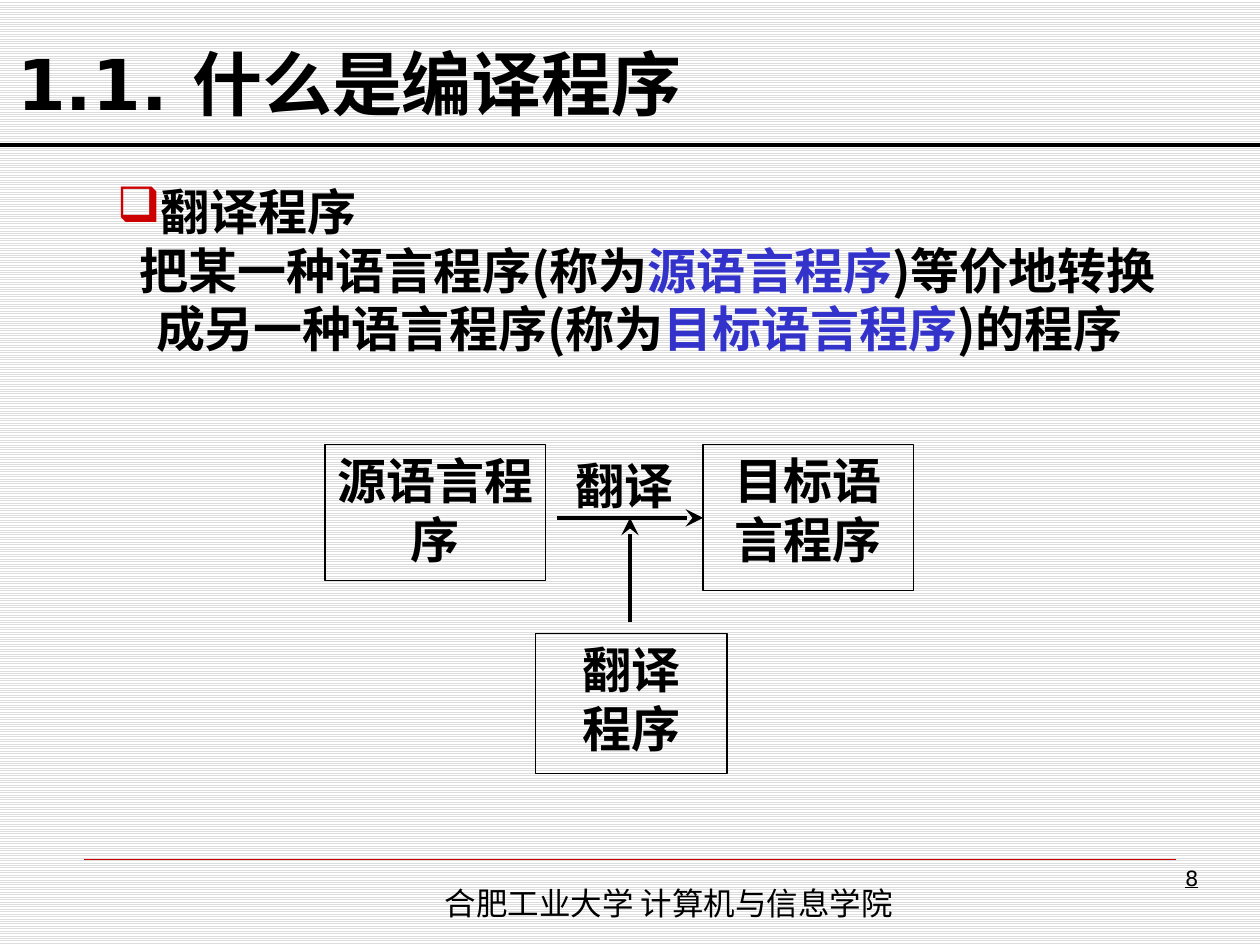
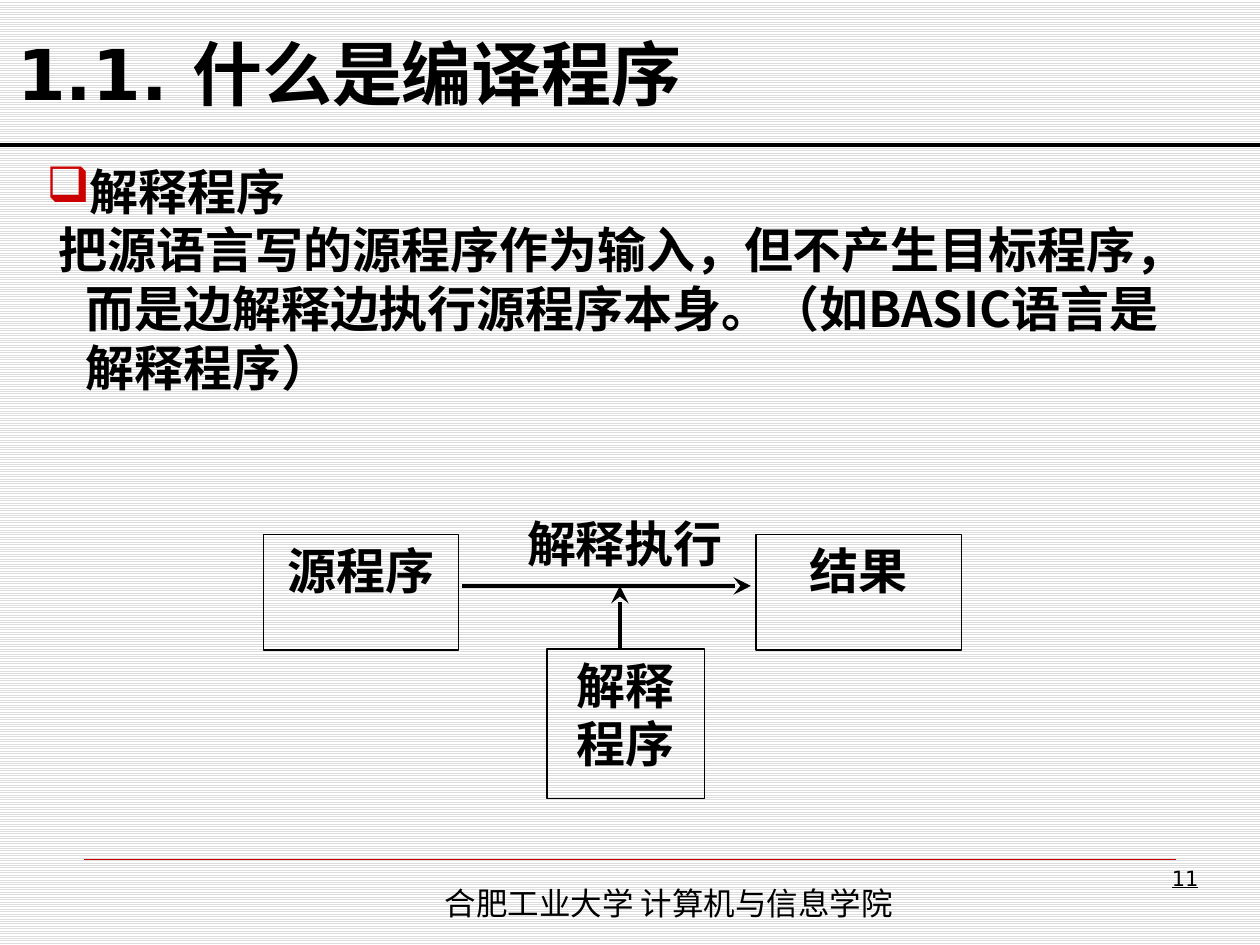
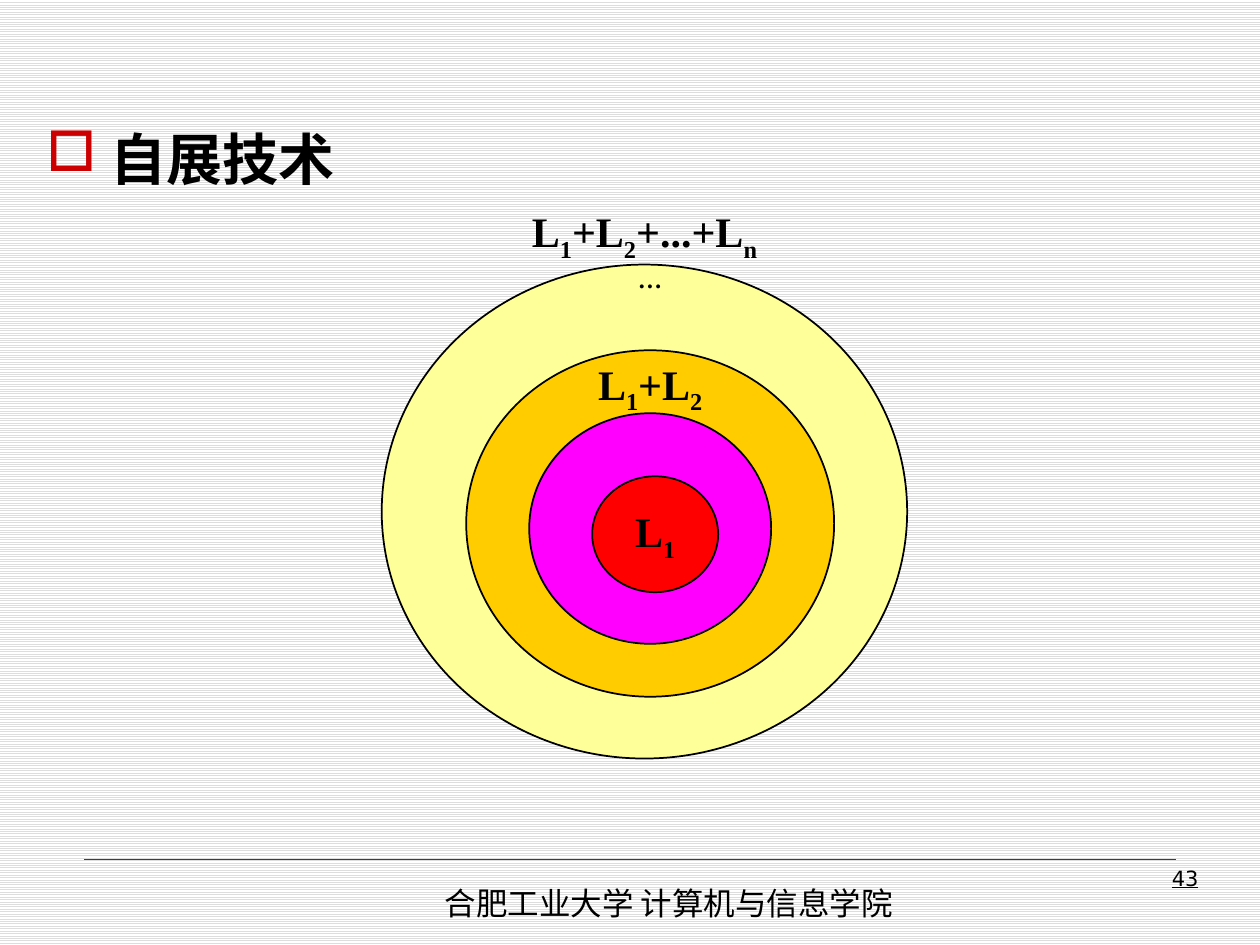
"""Build three lecture slides on compilers, interpreters and bootstrapping."""
from dataclasses import dataclass

from lxml import etree
from pptx import Presentation
from pptx import util as u
from pptx.dml.color import RGBColor
from pptx.enum import dml, shapes, text
from pptx.oxml import ns


@dataclass(frozen=True)
class Theme:
    ink: str = "000000"
    blue: str = "3333CC"
    red: str = "CC0000"
    paper: str = "FFFFFF"
    stripe: str = "DDDDDD"
    sans: str = "DejaVu Sans"
    han: str = "Noto Sans CJK SC"
    serif: str = "Times New Roman"
    title: int = 40
    head: int = 32
    body: int = 28
    label: int = 24
    foot: int = 18
    page: int = 12
    pitch: float = 1.2


T = Theme()
TITLE = "1.1. 什么是编译程序"
FOOTER = "合肥工业大学 计算机与信息学院"
KEY = {"color": T.blue}
SUB = {"sub": True}

FLOWS = [
    {
        "page": "8", "top": 0.21, "area": (0.83, 1.39, 8.75, 1.96),
        "head": "翻译程序", "lead": -0.13,
        "body": [("把某一种语言程序(称为", {}), ("源语言程序", KEY),
                 (")等价地转换成另一种语言程序(称为", {}),
                 ("目标语言程序", KEY), (")的程序", {})],
        "boxes": [((2.58, 3.53, 1.75, 1.08), ["源语言程序"]),
                  ((5.58, 3.53, 1.67, 1.16), ["目标语言程序"]),
                  ((4.25, 5.03, 1.52, 1.11), ["翻译", "程序"])],
        "arrows": [(4.42, 4.11, 5.58, 4.11), (5, 4.94, 5, 4.11)],
        "step": ((4.33, 3.53, 1.25, 0.67), "翻译"),
    },
    {
        "page": "11", "top": 0.13, "area": (0.27, 1.23, 9.17, 1.97),
        "head": "解释程序", "lead": -0.21,
        "body": [("把源语言写的源程序作为输入，但不产生目标程序，而是边解释边执行"
                  "源程序本身。（如BASIC语言是解释程序）", {})],
        "boxes": [((2.09, 4.24, 1.55, 0.92), ["源程序"]),
                  ((6, 4.24, 1.63, 0.92), ["结果"]),
                  ((4.34, 5.15, 1.25, 1.19), ["解释", "程序"])],
        "arrows": [(3.67, 4.65, 5.96, 4.65), (4.92, 5.15, 4.92, 4.65)],
        "step": ((3.96, 3.99, 2, 0.67), "解释执行"),
    },
]

BOOT = {
    "page": "43", "head": "自展技术", "area": (0.27, 0.99, 8.19, 0.65),
    "rings": [
        ((3.03, 2.1, 4.17, 3.92), "FFFF99", 1.86,
         [("L", {}), ("1", SUB), ("+L", {}), ("2", SUB), ("+...+L", {}), ("n", SUB)]),
        ((3.7, 2.78, 2.92, 2.75), "FFCC00", 2.1, [("…", SUB)]),
        ((4.2, 3.28, 1.92, 1.83), "FF00FF", 3.07,
         [("L", {}), ("1", SUB), ("+L", {}), ("2", SUB)]),
        ((4.7, 3.78, 1, 0.92), "FF0000", 4.24, [("L", {}), ("1", SUB)]),
    ],
}


def rgb(code):
    return RGBColor.from_string(code)


def inch(vals):
    return [u.Inches(v) for v in vals]


def mark(para, sign, left, lead):
    props = para._p.get_or_add_pPr()
    props.set("marL", str(u.Inches(left)))
    props.set("indent", str(u.Inches(lead)))
    if sign:
        tint = etree.SubElement(props, ns.qn("a:buClr"))
        etree.SubElement(tint, ns.qn("a:srgbClr"), val=T.red)
        etree.SubElement(props, ns.qn("a:buChar"), char=sign)
    else:
        etree.SubElement(props, ns.qn("a:buNone"))


def write(slide, box, paras, shape=None, size=T.body, font=T.han, bold=True,
          under=False, align="LEFT", anchor="TOP", wrap=True, pitch=T.pitch,
          pad=(0.1, 0.05, 0.1, 0.05), marks=()):
    """Put paragraphs in a shape or a new text box."""
    shape = shape or slide.shapes.add_textbox(*inch(box))
    frame = shape.text_frame
    frame.word_wrap = wrap
    frame.vertical_anchor = getattr(text.MSO_ANCHOR, anchor)
    (frame.margin_left, frame.margin_top,
     frame.margin_right, frame.margin_bottom) = inch(pad)
    for i, runs in enumerate(paras):
        para = frame.paragraphs[0] if i == 0 else frame.add_paragraph()
        if marks:
            mark(para, *marks[i])
        para.alignment = getattr(text.PP_ALIGN, align)
        if pitch:
            para.line_spacing = u.Pt(round(size * pitch, 1))
        for words, look in [(runs, {})] if isinstance(runs, str) else runs:
            run = para.add_run()
            run.text = words
            face = run.font
            face.size, face.name = u.Pt(size), font
            face.bold, face.underline = bold, under
            face.color.rgb = rgb(look.get("color", T.ink))
            props = run._r.get_or_add_rPr()
            etree.SubElement(props, ns.qn("a:ea"), typeface=T.han)
            if look.get("sub"):
                props.set("baseline", "-25000")
    return shape


def draw(slide, kind, box, fill=None, width=0.75):
    shape = slide.shapes.add_shape(kind, *inch(box))
    shape.shadow.inherit = False
    if fill:
        shape.fill.solid()
        shape.fill.fore_color.rgb = rgb(fill)
    else:
        shape.fill.background()
    shape.line.color.rgb = rgb(T.ink)
    shape.line.width = u.Pt(width)
    return shape


def rule(slide, ends, width, color=T.ink, arrow=False):
    link = slide.shapes.add_connector(shapes.MSO_CONNECTOR.STRAIGHT, *inch(ends))
    link.line.color.rgb = rgb(color)
    link.line.width = u.Pt(width)
    if arrow:
        etree.SubElement(link.line._get_or_add_ln(), ns.qn("a:tailEnd"),
                         type="stealth", w="lg", len="lg")
    etree.SubElement(link._element.spPr, ns.qn("a:effectLst"))


def base(deck, page):
    slide = deck.slides.add_slide(deck.slide_layouts[6])
    rule(slide, (0.67, 6.82, 9.33, 6.82), 0.25, T.red)
    write(slide, (3.43, 6.97, 4.8, 0.4), [FOOTER], size=T.foot, bold=False)
    write(slide, (7.44, 6.82, 2.17, 0.52), [page], size=T.page, font=T.sans,
          bold=False, under=True, align="RIGHT", pitch=None)
    return slide


def flow(deck, data):
    slide = base(deck, data["page"])
    write(slide, (0.04, data["top"], 8.5, 0.83), [TITLE], size=T.title,
          font=T.sans, anchor="BOTTOM")
    rule(slide, (0, 1.15, 10, 1.15), 2.25)
    write(slide, data["area"], [data["head"], data["body"]],
          marks=[("❑", 0.31, -0.31), (None, 0.31, data["lead"])])
    for box, lines in data["boxes"]:
        rect = draw(slide, shapes.MSO_SHAPE.RECTANGLE, box)
        write(slide, box, lines, shape=rect, align="CENTER",
              pad=(0.08, 0.05, 0.08, 0.05))
    for ends in data["arrows"]:
        rule(slide, ends, 2, arrow=True)
    box, words = data["step"]
    write(slide, box, [words], font=T.serif, align="CENTER", anchor="MIDDLE",
          wrap=False, pad=(0.08, 0.05, 0.08, 0.08))


def boot(deck, data):
    slide = base(deck, data["page"])
    write(slide, data["area"], [data["head"]], size=T.head,
          pad=(0.1, 0, 0.1, 0.05), marks=[("□", 0.51, -0.51)])
    for box, fill, *_ in data["rings"]:
        draw(slide, shapes.MSO_SHAPE.OVAL, box, fill, 1)
    tall = 0.4
    for (left, _, wide, _), _, mid, runs in data["rings"]:
        write(slide, (left, mid - tall / 2, wide, tall), [runs], size=T.label,
              font=T.serif, align="CENTER", anchor="MIDDLE", wrap=False,
              pitch=None, pad=(0, 0, 0, 0))


def main():
    deck = Presentation()
    deck.slide_width, deck.slide_height = inch((10, 7.5))
    back = deck.slide_master.background.fill
    back.patterned()
    back.pattern = dml.MSO_PATTERN.LIGHT_HORIZONTAL
    back.fore_color.rgb = rgb(T.stripe)
    back.back_color.rgb = rgb(T.paper)
    for data in FLOWS:
        flow(deck, data)
    boot(deck, BOOT)
    deck.save("out.pptx")


if __name__ == "__main__":
    main()
